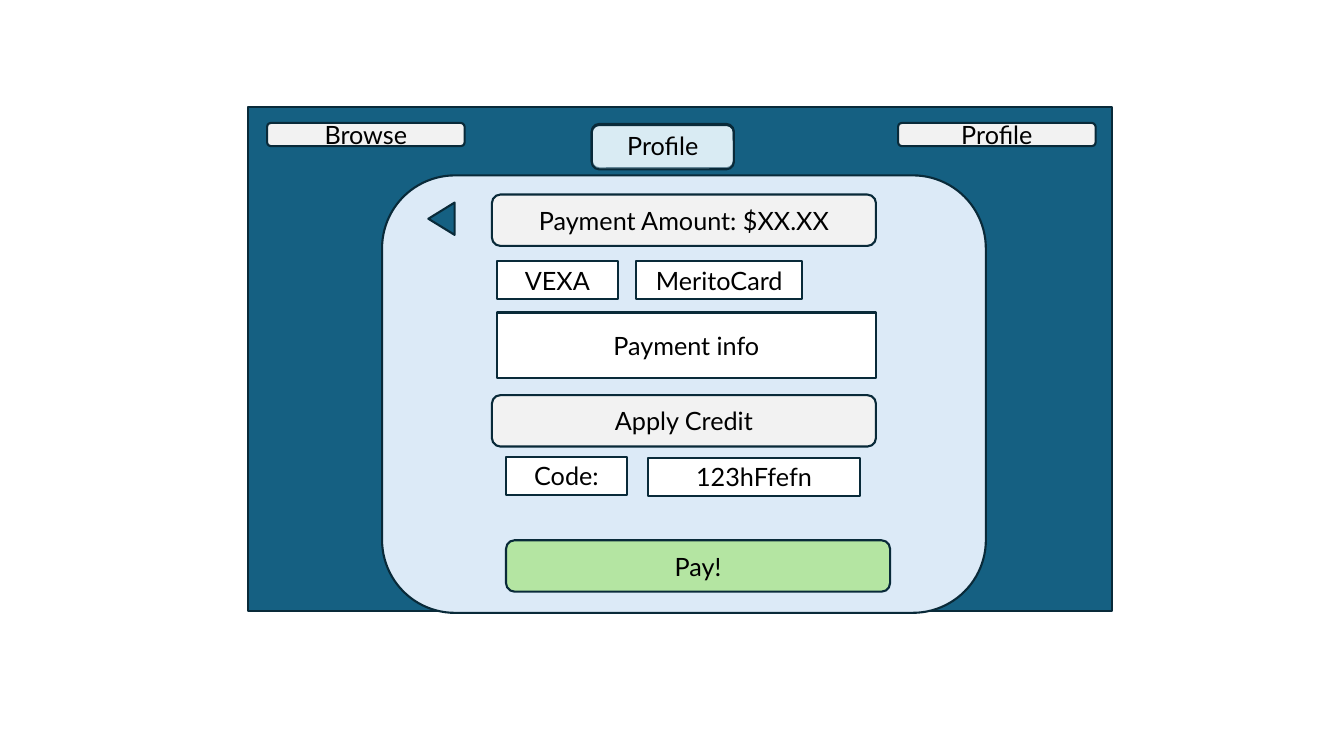
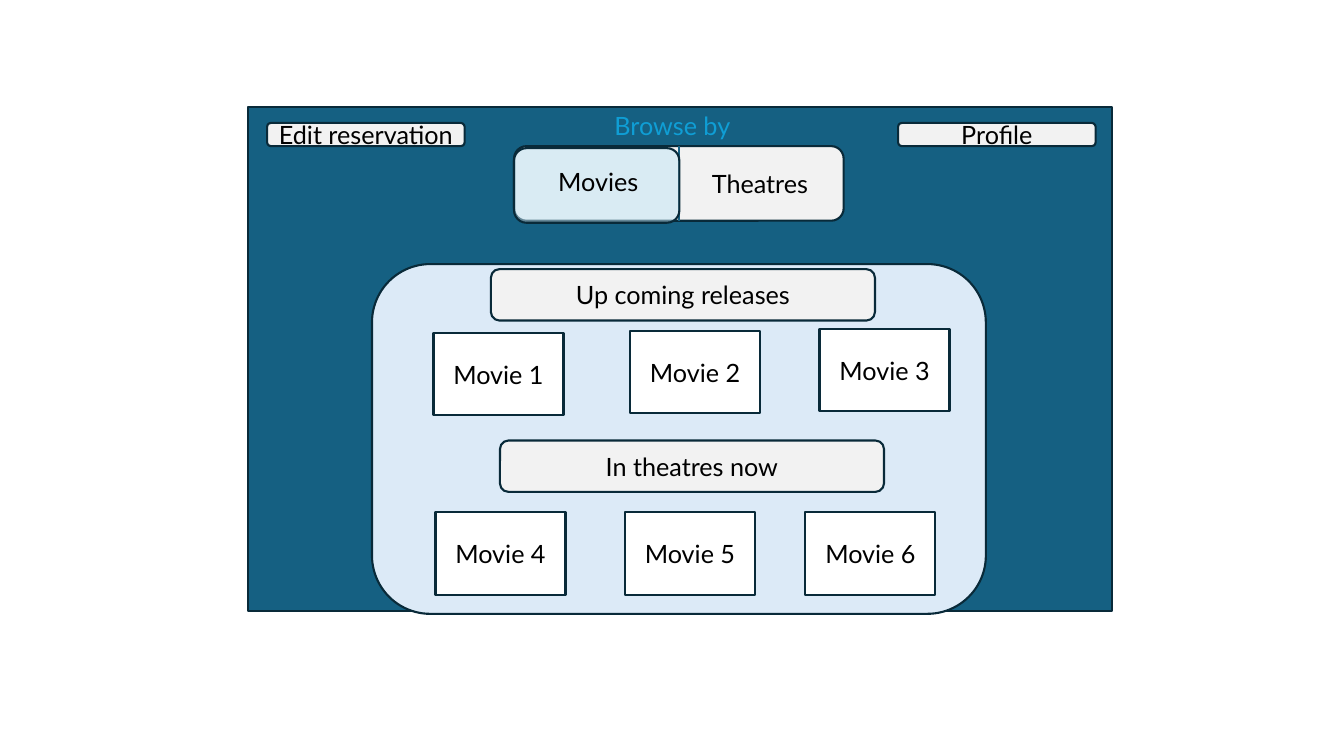
from dataclasses import dataclass

from lxml import etree
from pptx import Presentation
from pptx.dml.color import RGBColor
from pptx.enum.shapes import MSO_CONNECTOR, MSO_SHAPE
from pptx.enum.text import MSO_ANCHOR, PP_ALIGN
from pptx.oxml.ns import qn
from pptx.util import Inches, Pt

RECT = MSO_SHAPE.RECTANGLE
ROUND = MSO_SHAPE.ROUNDED_RECTANGLE
ARROW = MSO_SHAPE.ISOSCELES_TRIANGLE
LINE = MSO_CONNECTOR.STRAIGHT
MIDDLE = MSO_ANCHOR.MIDDLE
TOP = MSO_ANCHOR.TOP
CENTER = PP_ALIGN.CENTER


@dataclass(frozen=True)
class Theme:
    font: str = "Lato"
    size: float = 18
    edge: float = 1.5
    ink: str = "000000"
    line: str = "092A39"
    frame: str = "156082"
    panel: str = "DCEAF7"
    button: str = "F2F2F2"
    field: str = "FFFFFF"
    tint: str = "C1E5F5"
    accent: str = "0F9ED5"
    go: str = "B4E5A2"
    cols: float = 133.33
    rows: float = 75
    cell: float = 0.1


class Deck:
    def __init__(self, theme):
        self.theme = theme
        self.show = Presentation()
        self.show.slide_width = self.unit(theme.cols)
        self.show.slide_height = self.unit(theme.rows)
        self.slide = None

    def unit(self, count):
        return Inches(count * self.theme.cell)

    def place(self, *cells):
        return [self.unit(count) for count in cells]

    def letter(self, frame, text, color, anchor):
        frame.word_wrap = True
        frame.vertical_anchor = anchor
        para = frame.paragraphs[0]
        para.alignment = CENTER
        run = para.add_run()
        run.text = text
        run.font.name = self.theme.font
        run.font.size = Pt(self.theme.size)
        run.font.color.rgb = RGBColor.from_string(color)

    def shape(self, kind, box, fill, text=""):
        item = self.slide.shapes.add_shape(kind, *self.place(*box))
        item.shadow.inherit = False
        item.fill.solid()
        item.fill.fore_color.rgb = RGBColor.from_string(fill)
        item.line.color.rgb = RGBColor.from_string(self.theme.line)
        item.line.width = Pt(self.theme.edge)
        if text:
            self.letter(item.text_frame, text, self.theme.ink, MIDDLE)
        return item

    def panel(self, *box):
        self.shape(ROUND, box, self.theme.panel)

    def button(self, text, left, top, width=38.1, height=5.1, fill=None):
        box = (left, top, width, height)
        self.shape(ROUND, box, fill or self.theme.button, text)

    def field(self, text, *box):
        self.shape(RECT, box, self.theme.field, text)

    def tint(self, *box):
        item = self.shape(ROUND, box, self.theme.tint)
        color = item._element.spPr.find(qn("a:solidFill"))[0]
        etree.SubElement(color, qn("a:alpha"), val="50000")

    def label(self, text, left, top, width, color=None):
        item = self.slide.shapes.add_textbox(*self.place(left, top, width, 4))
        self.letter(item.text_frame, text, color or self.theme.ink, TOP)

    def split(self, left, top, height):
        ends = self.place(left, top, left, top + height)
        item = self.slide.shapes.add_connector(LINE, *ends)
        item.line.color.rgb = RGBColor.from_string(self.theme.frame)
        item.line.width = Pt(self.theme.edge)
        etree.SubElement(item._element.spPr, qn("a:effectLst"))

    def back(self, *box):
        self.shape(ARROW, box, self.theme.frame).rotation = 270

    def screen(self, link):
        self.slide = self.show.slides.add_slide(self.show.slide_layouts[6])
        self.shape(RECT, (24.6, 10.6, 85.7, 50), self.theme.frame)
        for text, left in ((link, 26.5), ("Profile", 89.1)):
            self.button(text, left, 12.2, 19.6, 2.3)


def payment(deck):
    deck.screen("Browse")
    deck.button("", 58.7, 12.3, 14.1, 4.4)
    deck.tint(58.7, 12.4, 14.1, 4.4)
    deck.label("Profile", 57.9, 12.4, 15.7)
    deck.panel(37.9, 17.4, 59.9, 43.4)
    deck.back(42.2, 20.4, 3.2, 2.6)
    deck.button("Payment Amount: $XX.XX", 48.8, 19.3)
    deck.field("VEXA", 49.3, 25.9, 12, 3.8)
    deck.field("MeritoCard", 63.1, 25.9, 16.5, 3.8)
    deck.field("Payment info", 49.3, 31, 37.6, 6.5)
    deck.button("Apply Credit", 48.8, 39.2)
    deck.field("Code:", 50.2, 45.3, 12, 3.8)
    deck.field("123hFfefn", 64.3, 45.4, 21, 3.8)
    deck.button("Pay!", 50.2, 53.6, fill=deck.theme.go)


def browse(deck):
    deck.screen("Edit reservation")
    deck.button("", 51, 14.5, 32.7, 7.4)
    deck.split(67.4, 14.5, 7.4)
    deck.label("Browse by", 57.8, 10.5, 17.8, deck.theme.accent)
    deck.tint(51, 14.7, 16.4, 7.4)
    deck.label("Movies", 53.8, 16, 11.1)
    deck.label("Theatres", 69.5, 16.2, 11.8)
    deck.panel(36.9, 26.2, 60.9, 34.7)
    deck.button("Up coming releases", 48.7, 26.7)
    deck.button("In theatres now", 49.6, 43.7)
    spots = ((43, 33), (62.5, 32.8), (81.3, 32.6),
             (43.2, 50.8), (62, 50.8), (79.9, 50.8))
    for number, (left, top) in enumerate(spots, 1):
        deck.field(f"Movie {number}", left, top, 12.9, 8.2)


def main():
    deck = Deck(Theme())
    payment(deck)
    browse(deck)
    deck.show.save("out.pptx")


if __name__ == "__main__":
    main()
